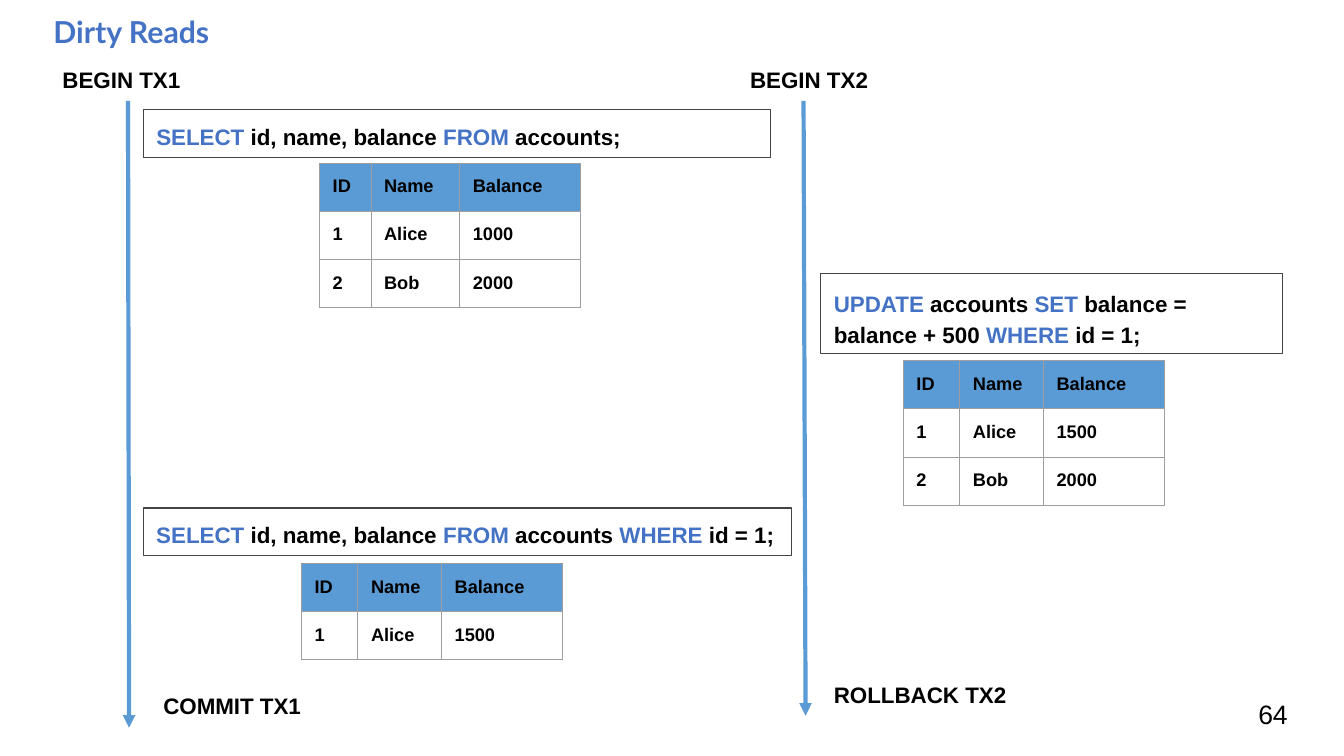
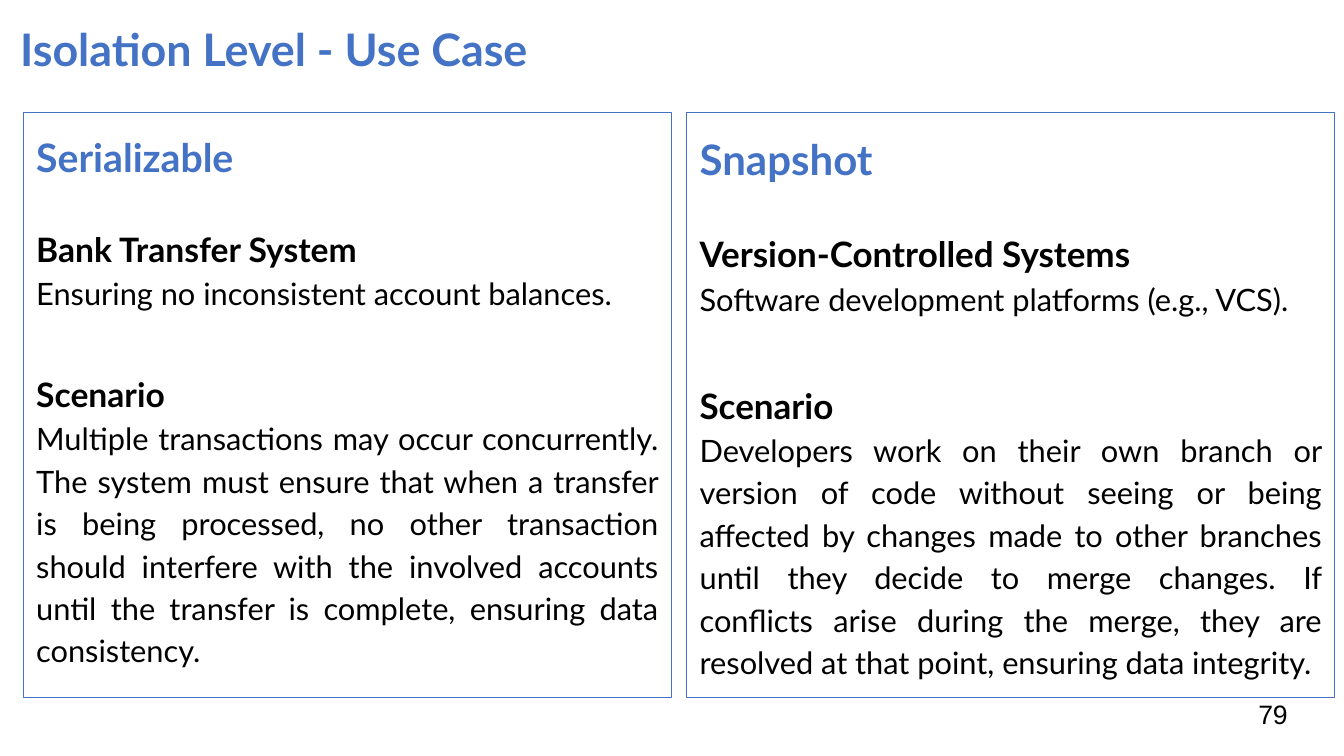
from lxml.etree import SubElement
from pptx import Presentation
from pptx.dml.color import RGBColor
from pptx.enum.shapes import MSO_CONNECTOR, MSO_SHAPE
from pptx.enum.text import MSO_ANCHOR, MSO_AUTO_SIZE, PP_ALIGN
from pptx.oxml.ns import qn
from pptx.util import Inches, Pt

BLACK = "000000"
ACCENT = "4472C4"
TABLE_BLUE = "5B9BD5"
TABLE_BORDER = "9E9E9E"
QUERY_BORDER = "434343"
INSET = Inches(0.13)
ROW_HEIGHT = 0.47
BLANK_LINE = 30.4  # points, one line of 22 pt Lato at 1.15 spacing

rgb = RGBColor.from_string


def format_text(paragraph, size, font="Arial", bold=True, color=BLACK):
    for run in paragraph.runs:
        run.font.size = Pt(size)
        run.font.name = font
        run.font.bold = bold
        run.font.color.rgb = rgb(color)


def add_frame(slide, place, outline=None):
    """Add a text box, or an outlined rectangle, and return its text frame."""
    left, top, width, height = map(Inches, place)
    if outline:
        box = slide.shapes.add_shape(MSO_SHAPE.RECTANGLE, left, top, width, height)
        box.shadow.inherit = False
        box.fill.background()
        box.line.color.rgb = rgb(outline)
        box.line.width = Pt(0.75)
    else:
        box = slide.shapes.add_textbox(left, top, width, height)
    frame = box.text_frame
    frame.word_wrap = True
    frame.vertical_anchor = MSO_ANCHOR.TOP
    frame.margin_left = frame.margin_right = INSET
    frame.margin_top = frame.margin_bottom = INSET
    frame.paragraphs[0].alignment = PP_ALIGN.LEFT
    return frame


prs = Presentation()
prs.slide_width = Inches(13.33)
prs.slide_height = Inches(7.5)

# Titles and page numbers
headings = [
    ("Dirty Reads", 21.6, (0.4, 0, 2.96, 0.61), "64"),
    ("Isolation Level - Use Case", 32, (0.07, 0.09, 12.42, 0.83), "79"),
]
for heading, size, place, page in headings:
    slide = prs.slides.add_slide(prs.slide_layouts[5])
    title = slide.shapes.title
    title.left, title.top, title.width, title.height = map(Inches, place)
    frame = title.text_frame
    frame.text = heading
    frame.auto_size = MSO_AUTO_SIZE.NONE
    frame.vertical_anchor = MSO_ANCHOR.TOP
    frame.margin_left = frame.margin_right = INSET
    frame.margin_top = frame.margin_bottom = INSET
    frame.paragraphs[0].alignment = PP_ALIGN.LEFT
    format_text(frame.paragraphs[0], size, "Lato", color=ACCENT)

    number = add_frame(slide, (12.35, 6.8, 0.8, 0.57))
    number.text = page
    number.vertical_anchor = MSO_ANCHOR.MIDDLE
    format_text(number.paragraphs[0], 19, bold=False)

dirty_reads, use_case = prs.slides

# Dirty reads: the two transaction timelines
for start_x, end_x, end_y in [(1.27, 1.28, 7.22), (7.97, 7.99, 7.1)]:
    timeline = dirty_reads.shapes.add_connector(
        MSO_CONNECTOR.STRAIGHT,
        Inches(start_x), Inches(1), Inches(end_x), Inches(end_y))
    timeline.line.color.rgb = rgb(TABLE_BLUE)
    timeline.line.width = Pt(3)
    SubElement(timeline.line._get_or_add_ln(), qn("a:tailEnd"), type="triangle")
    SubElement(timeline.element.spPr, qn("a:effectLst"))

milestones = [
    ("BEGIN TX1", (0.49, 0.53, 1.63, 0.47)),
    ("COMMIT TX1", (1.49, 6.74, 1.93, 0.47)),
    ("BEGIN TX2", (7.31, 0.53, 1.63, 0.47)),
    ("ROLLBACK TX2", (8.14, 6.63, 4.05, 0.47)),
]
for milestone, place in milestones:
    frame = add_frame(dirty_reads, place)
    frame.text = milestone
    format_text(frame.paragraphs[0], 16)

# Queries alternate between a keyword and plain text
queries = [
    ((1.42, 1.09, 6.22, 0.47), 1,
     ["SELECT", " id, name, balance ", "FROM", " accounts;"]),
    ((8.14, 2.71, 4.58, 0.8), 1.15,
     ["UPDATE", " accounts ", "SET", " balance = balance + 500 ",
      "WHERE", " id = 1;"]),
    ((1.42, 5.04, 6.43, 0.47), 1,
     ["SELECT", " id, name, balance ", "FROM", " accounts ",
      "WHERE", " id = 1;"]),
]
for place, spacing, parts in queries:
    paragraph = add_frame(dirty_reads, place, QUERY_BORDER).paragraphs[0]
    paragraph.line_spacing = spacing
    for part in parts:
        paragraph.add_run().text = part
    format_text(paragraph, 16)
    for keyword in paragraph.runs[::2]:
        keyword.font.color.rgb = rgb(ACCENT)

columns = ("ID", "Name", "Balance")
results = [
    (3.17, 1.62, (0.51, 0.88, 1.2), [("1", "Alice", "1000"), ("2", "Bob", "2000")]),
    (8.96, 3.58, (0.56, 0.83, 1.2), [("1", "Alice", "1500"), ("2", "Bob", "2000")]),
    (2.99, 5.59, (0.56, 0.83, 1.2), [("1", "Alice", "1500")]),
]
for left, top, widths, accounts in results:
    rows = [columns, *accounts]
    table = dirty_reads.shapes.add_table(
        len(rows), len(columns), Inches(left), Inches(top),
        Inches(sum(widths)), Inches(ROW_HEIGHT * len(rows))).table
    for column, width in zip(table.columns, widths):
        column.width = Inches(width)
    for row_index, row in enumerate(rows):
        for column_index, value in enumerate(row):
            cell = table.cell(row_index, column_index)
            cell.text = value
            cell.margin_left = cell.margin_right = INSET
            cell.margin_top = cell.margin_bottom = INSET
            format_text(cell.text_frame.paragraphs[0], 13)
            properties = cell._tc.get_or_add_tcPr()
            for side in ("lnL", "lnR", "lnT", "lnB"):
                border = SubElement(properties, qn(f"a:{side}"), w=str(Pt(0.75)))
                border_fill = SubElement(border, qn("a:solidFill"))
                SubElement(border_fill, qn("a:srgbClr"), val=TABLE_BORDER)
            if row_index == 0:
                cell.fill.solid()
                cell.fill.fore_color.rgb = rgb(TABLE_BLUE)
            else:
                cell.fill.background()

# Use cases: one panel per isolation level
panels = [
    (0.23, 28, 24, 10, "Serializable", "Bank Transfer System",
     "Ensuring no inconsistent account balances.",
     "Multiple transactions may occur concurrently. The system must ensure "
     "that when a transfer is being processed, no other transaction should "
     "interfere with the involved accounts until the transfer is complete, "
     "ensuring data consistency."),
    (6.81, 30, 25, 13, "Snapshot", "Version-Controlled Systems",
     "Software development platforms (e.g., VCS).",
     "Developers work on their own branch or version of code without seeing "
     "or being affected by changes made to other branches until they decide "
     "to merge changes. If conflicts arise during the merge, they are "
     "resolved at that point, ensuring data integrity."),
]
for left, level_size, head_size, extra_gap, level, system, purpose, scenario in panels:
    frame = add_frame(use_case, (left, 1.12, 6.43, 5.8), ACCENT)
    lines = [
        (level, level_size, True, ACCENT, 0),
        (system, head_size, True, BLACK, BLANK_LINE),
        (purpose, 22, False, BLACK, 0),
        ("Scenario", head_size, True, BLACK, BLANK_LINE + extra_gap),
        (scenario, 22, False, BLACK, 0),
    ]
    frame.text = "\n".join(line[0] for line in lines)
    for paragraph, (_, size, bold, color, gap) in zip(frame.paragraphs, lines):
        paragraph.alignment = PP_ALIGN.JUSTIFY
        paragraph.line_spacing = 1.15
        paragraph.space_before = Pt(gap)
        format_text(paragraph, size, "Lato", bold, color)

prs.save("out.pptx")
